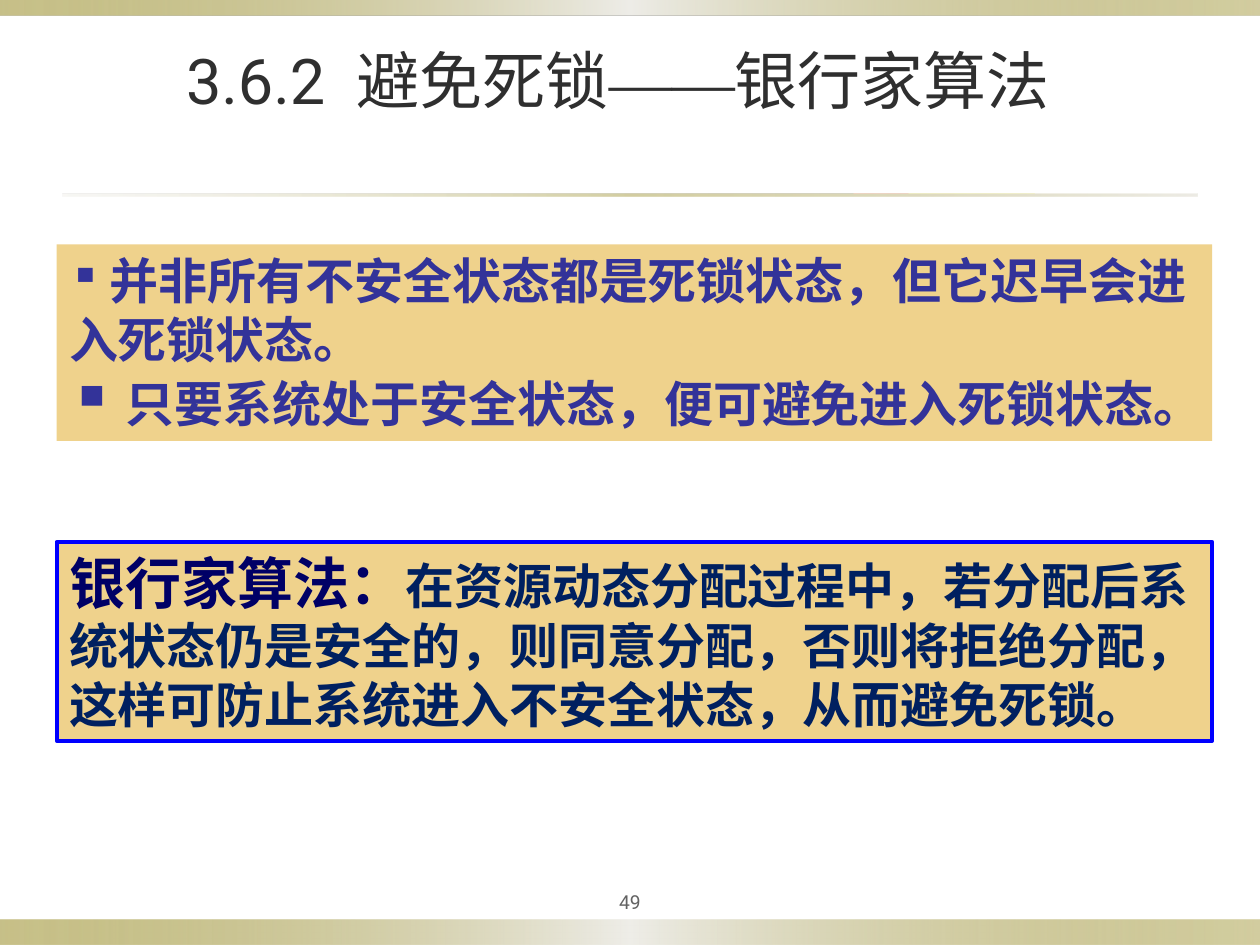
from dataclasses import dataclass

import lxml.etree
import pptx
import pptx.dml.color
import pptx.enum.shapes
import pptx.enum.text
import pptx.oxml.ns
import pptx.util

Inches = pptx.util.Inches
Pt = pptx.util.Pt
RGBColor = pptx.dml.color.RGBColor
Align = pptx.enum.text.PP_ALIGN
Anchor = pptx.enum.text.MSO_ANCHOR
qn = pptx.oxml.ns.qn

OLIVE = RGBColor(0x91, 0x84, 0x15)
MIST = RGBColor(0xEE, 0xED, 0xE8)
SAND = RGBColor(0xDC, 0xD9, 0xCC)
GOLD = RGBColor(0xEF, 0xD2, 0x8C)
BLUE = RGBColor(0x00, 0x00, 0xFF)
INDIGO = RGBColor(0x33, 0x33, 0x99)
NAVY = RGBColor(0x00, 0x00, 0x66)
DEEP_BLUE = RGBColor(0x00, 0x20, 0x60)
CHARCOAL = RGBColor(0x2F, 0x2F, 0x2F)
GRAY = RGBColor(0x63, 0x63, 0x63)
CJK = "Noto Sans CJK SC"
LATIN = "Roboto"


@dataclass
class Stop:
    position: int
    color: RGBColor
    opacity: int


@dataclass
class Band:
    left: float
    top: float
    width: float
    height: float
    stops: list[Stop]


@dataclass
class Run:
    text: str
    size: int
    color: RGBColor
    face: str = CJK
    bold: bool = False
    tracking: int = 0


@dataclass
class Paragraph:
    runs: list[Run]
    bullet: str = ""
    space_before: int = 0


@dataclass
class Panel:
    top: float
    height: float
    paragraphs: list[Paragraph]
    border: RGBColor | None = None


def add_rectangle(slide, left: float, top: float, width: float, height: float):
    rectangle = slide.shapes.add_shape(
        pptx.enum.shapes.MSO_SHAPE.RECTANGLE,
        Inches(left), Inches(top), Inches(width), Inches(height))
    rectangle.shadow.inherit = False
    rectangle.line.fill.background()
    return rectangle


def draw_band(slide, band: Band) -> None:
    rectangle = add_rectangle(slide, band.left, band.top, band.width, band.height)
    rectangle.fill.gradient()
    rectangle.fill.gradient_angle = 0
    stop_list = rectangle.fill._fill._gradFill.find(qn("a:gsLst"))
    for old_stop in list(stop_list):
        stop_list.remove(old_stop)
    for stop in band.stops:
        entry = lxml.etree.SubElement(stop_list, qn("a:gs"), pos=str(stop.position * 1000))
        color = lxml.etree.SubElement(entry, qn("a:srgbClr"), val=str(stop.color))
        lxml.etree.SubElement(color, qn("a:alpha"), val=str(stop.opacity * 1000))


def write_paragraphs(frame, paragraphs: list[Paragraph], align: Align, anchor: Anchor) -> None:
    for name, value in {"word_wrap": True, "vertical_anchor": anchor}.items():
        setattr(frame, name, value)
    for index, content in enumerate(paragraphs):
        paragraph = frame.add_paragraph() if index else frame.paragraphs[0]
        layout = {"alignment": align, "space_before": Pt(content.space_before)}
        for name, value in layout.items():
            setattr(paragraph, name, value)
        if content.bullet:
            properties = paragraph._p.get_or_add_pPr()
            lxml.etree.SubElement(properties, qn("a:buSzPct"), val="125000")
            lxml.etree.SubElement(properties, qn("a:buChar"), char=content.bullet)
        for piece in content.runs:
            run = paragraph.add_run()
            run.text = piece.text
            run.font.color.rgb = piece.color
            style = {"size": Pt(piece.size), "name": piece.face, "bold": piece.bold}
            for name, value in style.items():
                setattr(run.font, name, value)
            properties = run._r.get_or_add_rPr()
            lxml.etree.SubElement(properties, qn("a:ea"), typeface=piece.face)
            if piece.tracking:
                properties.set("spc", str(piece.tracking * 100))


def draw_label(slide, left: float, top: float, width: float, height: float,
               runs: list[Run], inset: float) -> None:
    label = slide.shapes.add_textbox(Inches(left), Inches(top), Inches(width), Inches(height))
    for side in ("left", "right", "top", "bottom"):
        setattr(label.text_frame, f"margin_{side}", Inches(inset))
    write_paragraphs(label.text_frame, [Paragraph(runs)], Align.CENTER, Anchor.MIDDLE)


def draw_panel(slide, panel: Panel) -> None:
    rectangle = add_rectangle(slide, 0.45, panel.top, 9.17, panel.height)
    rectangle.fill.solid()
    rectangle.fill.fore_color.rgb = GOLD
    if panel.border is not None:
        rectangle.line.color.rgb = panel.border
        rectangle.line.width = Pt(2.25)
    write_paragraphs(rectangle.text_frame, panel.paragraphs, Align.LEFT, Anchor.TOP)


EDGE_STOPS = [Stop(0, OLIVE, 50), Stop(50, MIST, 100), Stop(100, OLIVE, 40)]
RULE_STOPS = [Stop(0, SAND, 20), Stop(50, OLIVE, 40), Stop(100, SAND, 50)]
BANDS = [
    Band(0, 7.3, 10, 0.2, EDGE_STOPS),
    Band(0, 0, 10, 0.12, EDGE_STOPS),
    Band(0.5, 1.54, 9, 0.02, RULE_STOPS),
]
TITLE = [
    Run("3.6.2", 36, CHARCOAL, LATIN),
    Run(" ", 36, CHARCOAL, LATIN, tracking=9),
    Run("避免死锁", 36, CHARCOAL),
    Run("——", 36, CHARCOAL, "Times New Roman"),
    Run("银行家算法 ", 36, CHARCOAL),
]
PANELS = [
    Panel(1.94, 1.56, [
        Paragraph([
            Run(" ", 20, INDIGO, bold=True),
            Run("并非所有不安全状态都是死锁状态，但它迟早会进入死锁状态。", 28, INDIGO, bold=True),
        ], "▪"),
        Paragraph([
            Run(" 只要系统处于安全状态，便可避免进入死锁状态。", 28, INDIGO, bold=True),
        ], "▪", 3),
    ]),
    Panel(4.3, 1.58, [
        Paragraph([
            Run("银行家算法：", 32, NAVY, bold=True),
            Run("在资源动态分配过程中，若分配后系统状态仍是安全的，则同意分配，"
                "否则将拒绝分配，这样可防止系统进入不安全状态，从而避免死锁。",
                28, DEEP_BLUE, bold=True),
        ]),
    ], BLUE),
]


def main() -> None:
    deck = pptx.Presentation()
    for name, value in {"slide_width": Inches(10), "slide_height": Inches(7.5)}.items():
        setattr(deck, name, value)
    slide = deck.slides.add_slide(deck.slide_layouts[6])
    for band in BANDS:
        draw_band(slide, band)
    draw_label(slide, 0.25, 0.25, 9.42, 0.76, TITLE, 0.05)
    draw_label(slide, 4.5, 7, 1, 0.31, [Run("49", 11, GRAY, LATIN)], 0.05)
    for panel in PANELS:
        draw_panel(slide, panel)
    deck.save("out.pptx")


if __name__ == "__main__":
    main()
